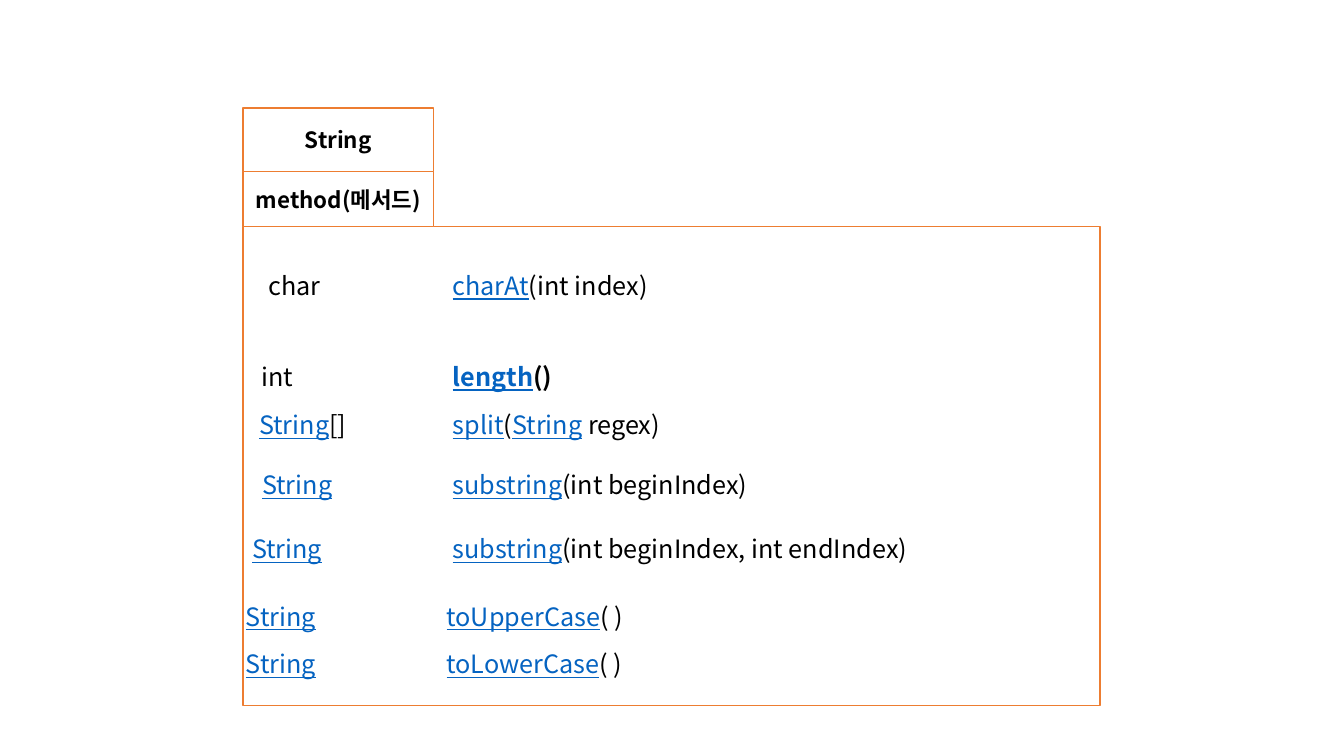
from pptx import Presentation, util as u
from pptx.dml.color import RGBColor
from pptx.enum import shapes, text
from pptx.oxml import ns

COLORS = {"paper": "FFFFFF", "border": "ED7D31", "ink": "000000", "link": "0563C1"}
FONT = "Noto Sans CJK KR"
NO_GRID_STYLE = "{2D5ABB26-0587-4C30-8999-92F81FD0307C}"
LEFT = 2.41
NAME_COLUMN = 4.46
TABLE_WIDTH = 9
ROW_HEIGHT = 0.36


def style_run(run, size, color, bold=False, underline=False):
    run.font.size = u.Pt(size)
    run.font.name = FONT
    run.font.bold = bold
    run.font.underline = underline
    run.font.color.rgb = RGBColor.from_string(COLORS[color])
    east_asian = run.font._element.makeelement(ns.qn("a:ea"), {"typeface": FONT})
    run.font._element.find(ns.qn("a:latin")).addnext(east_asian)


def add_box(slide, top, width, height, label):
    box = slide.shapes.add_shape(
        shapes.MSO_SHAPE.RECTANGLE,
        u.Inches(LEFT), u.Inches(top), u.Inches(width), u.Inches(height),
    )
    box.shadow.inherit = False
    box.fill.solid()
    box.fill.fore_color.rgb = RGBColor.from_string(COLORS["paper"])
    box.line.color.rgb = RGBColor.from_string(COLORS["border"])
    box.line.width = u.Pt(1)
    if label:
        box.text_frame.text = label
        box.text_frame.vertical_anchor = text.MSO_ANCHOR.MIDDLE
        paragraph = box.text_frame.paragraphs[0]
        paragraph.alignment = text.PP_ALIGN.CENTER
        style_run(paragraph.runs[0], 16, "ink", bold=True)


presentation = Presentation()
presentation.slide_width = u.Inches(13.33)
presentation.slide_height = u.Inches(7.5)
slide = presentation.slides.add_slide(presentation.slide_layouts[6])

for top, width, height, label in [
    (2.25, 8.5, 4.75, ""),
    (1.07, 1.89, 0.63, "String"),
    (1.7, 1.89, 0.55, "method(메서드)"),
]:
    add_box(slide, top, width, height, label)

# Text between bars is styled as a link.
methods = [
    (2.63, 2.44, 0.76, "char", "|charAt|(int index)"),
    (2.56, 3.51, ROW_HEIGHT, "int", "|length|()"),
    (2.54, 3.99, ROW_HEIGHT, "|String|[]", "|split|(|String| regex)"),
    (2.57, 4.59, ROW_HEIGHT, "|String|", "|substring|(int beginIndex)"),
    (2.47, 5.22, ROW_HEIGHT, "|String|", "|substring|(int beginIndex, int endIndex)"),
    (LEFT, 5.89, ROW_HEIGHT, "|String|", "|toUpperCase|( )"),
    (LEFT, 6.36, ROW_HEIGHT, "|String|", "|toLowerCase|( )"),
]
for left, top, height, return_type, signature in methods:
    table = slide.shapes.add_table(
        1, 2, u.Inches(left), u.Inches(top), u.Inches(TABLE_WIDTH), u.Inches(height)
    ).table
    table.first_row = False
    table.horz_banding = False
    table._tbl.tblPr.find(ns.qn("a:tableStyleId")).text = NO_GRID_STYLE
    type_width = min(NAME_COLUMN - left, 1.99)
    table.columns[0].width = u.Inches(type_width)
    table.columns[1].width = u.Inches(TABLE_WIDTH - type_width)
    for cell, content in zip(table.rows[0].cells, (return_type, signature)):
        cell.fill.background()
        cell.vertical_anchor = text.MSO_ANCHOR.MIDDLE
        cell.margin_left = cell.margin_right = u.Inches(0.03)
        cell.margin_top = cell.margin_bottom = u.Inches(0.03)
        paragraph = cell.text_frame.paragraphs[0]
        for index, part in enumerate(content.split("|")):
            if part:
                is_link = index % 2 == 1
                run = paragraph.add_run()
                run.text = part
                style_run(run, 18, "link" if is_link else "ink",
                          bold="length" in content, underline=is_link)

presentation.save("out.pptx")
